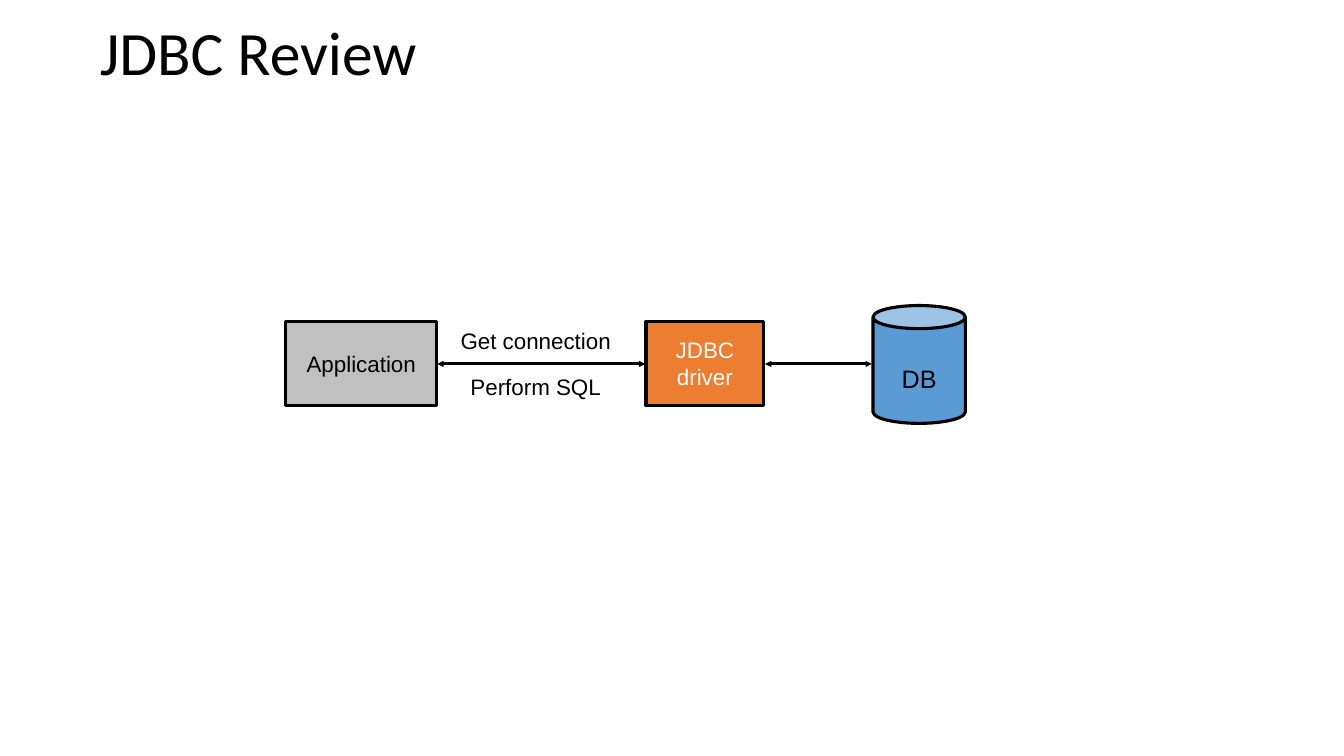
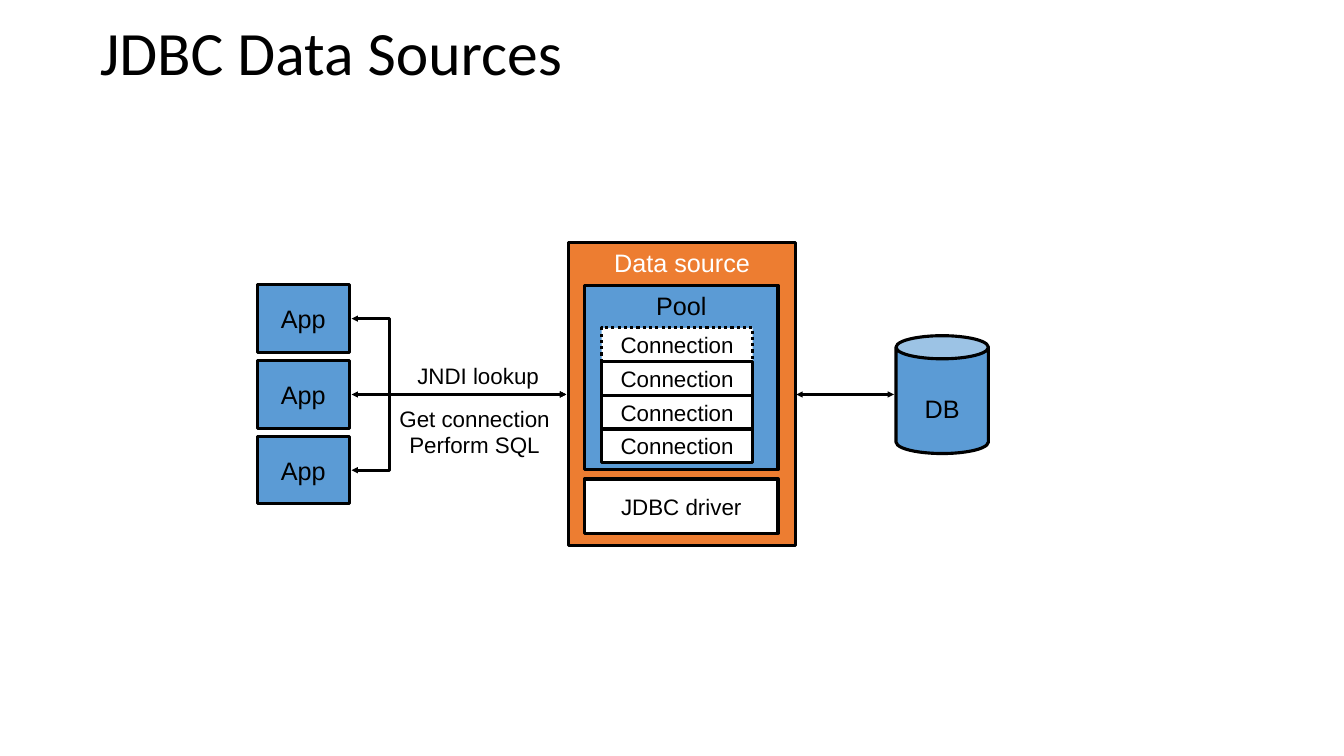
from lxml import etree
from pptx import Presentation
from pptx.dml.color import RGBColor
from pptx.enum import dml, shapes, text
from pptx.oxml import ns
from pptx.util import Cm, Pt

BLACK, WHITE, GREY = "000000", "FFFFFF", "C0C0C0"
BLUE, ORANGE = "5B9BD5", "ED7D31"
RECT, CAN = shapes.MSO_SHAPE.RECTANGLE, shapes.MSO_SHAPE.CAN
TOP, MIDDLE = text.MSO_ANCHOR.TOP, text.MSO_ANCHOR.MIDDLE
color = RGBColor.from_string


def add_box(slide, wording, left, top, width, height, fill=None, size=16,
            ink=BLACK, anchor=MIDDLE, outline=RECT):
    place = Cm(left), Cm(top), Cm(width), Cm(height)
    if fill:
        box = slide.shapes.add_shape(outline, *place)
        box.shadow.inherit = False
        box.fill.solid()
        box.fill.fore_color.rgb = color(fill)
        box.line.color.rgb = color(BLACK)
        box.line.width = Pt(2.25)
    else:
        box = slide.shapes.add_textbox(*place)
    frame = box.text_frame
    frame.word_wrap = True
    frame.vertical_anchor = anchor
    paragraph = frame.paragraphs[0]
    paragraph.alignment = text.PP_ALIGN.CENTER
    for number, line in enumerate(wording.split("\n")):
        if number:
            paragraph.add_line_break()
        run = paragraph.add_run()
        run.text = line
        run.font.name = "Arial"
        run.font.size = Pt(size)
        run.font.color.rgb = color(ink)
    return box


def add_arrow(slide, x1, y1, x2, y2, bend=None):
    kind = shapes.MSO_CONNECTOR.ELBOW if bend else shapes.MSO_CONNECTOR.STRAIGHT
    arrow = slide.shapes.add_connector(kind, Cm(x1), Cm(y1), Cm(x2), Cm(y2))
    arrow.line.color.rgb = color(BLACK)
    arrow.line.width = Pt(2.25)
    for end in ("a:headEnd", "a:tailEnd"):
        etree.SubElement(arrow.line._get_or_add_ln(), ns.qn(end),
                         type="triangle", w="sm", len="sm")
    properties = arrow._element.spPr
    etree.SubElement(properties, ns.qn("a:effectLst"))
    if bend:
        guides = properties.find(ns.qn("a:prstGeom")).get_or_add_avLst()
        etree.SubElement(guides, ns.qn("a:gd"), name="adj1", fmla=f"val {bend}")


deck = Presentation()
deck.slide_width, deck.slide_height = Cm(33.87), Cm(19.05)

for heading in ("JDBC Review", "JDBC Data Sources"):
    slide = deck.slides.add_slide(deck.slide_layouts[5])
    title = slide.shapes.title
    title.left, title.top = Cm(2.26), Cm(0.43)
    title.width, title.height = Cm(29.64), Cm(2.54)
    title.text_frame.vertical_anchor = TOP
    title.text_frame.auto_size = text.MSO_AUTO_SIZE.NONE
    paragraph = title.text_frame.paragraphs[0]
    paragraph.alignment = text.PP_ALIGN.LEFT
    paragraph.line_spacing = 0.9
    run = paragraph.add_run()
    run.text = heading
    run.font.name = "Calibri"
    run.font.size = Pt(44)
    run.font.color.rgb = color(BLACK)

review, sources = deck.slides

for slide, left, top in ((review, 22, 7.7), (sources, 22.58, 8.46)):
    database = add_box(slide, "DB", left, top, 2.33, 2.97, BLUE, 18, outline=CAN)
    database.text_frame.margin_top = Cm(0.53)

review_axis = 9.17
add_box(review, "Application", 7.2, 8.1, 3.81, 2.12, GREY)
add_box(review, "JDBC driver", 16.28, 8.1, 2.97, 2.12, ORANGE, ink=WHITE)
add_arrow(review, 11.02, review_axis, 16.26, review_axis)
add_arrow(review, 19.28, review_axis, 21.97, review_axis)
add_box(review, "Get connection", 11.35, 8.1, 4.3, 0.94)
add_box(review, "Perform SQL", 11.35, 9.28, 4.3, 0.94)

add_box(sources, "Data source", 14.33, 6.12, 5.72, 7.62, ORANGE, 18, WHITE, TOP)
add_box(sources, "Pool", 14.73, 7.19, 4.88, 4.65, BLUE, 18, anchor=TOP)
add_box(sources, "JDBC driver", 14.73, 12.07, 4.88, 1.37, WHITE)

for row in range(4):
    connection = add_box(sources, "Connection", 15.16, 8.26 + 0.85 * row,
                         3.81, 0.85, WHITE)
    if row == 0:
        connection.line.dash_style = dml.MSO_LINE.ROUND_DOT

sources_axis, app_pitch = 9.94, 1.91
for row, bend in enumerate((17600, None, 17600)):
    app_axis = sources_axis + app_pitch * (row - 1)
    add_box(sources, "App", 6.48, app_axis - 0.85, 2.33, 1.7, BLUE, 18)
    add_arrow(sources, 8.86, app_axis, 14.27, sources_axis, bend)
add_arrow(sources, 20.07, sources_axis, 22.53, sources_axis)
add_box(sources, "JNDI lookup", 9.9, 8.99, 4.3, 0.94)
add_box(sources, "Get connection\nPerform SQL", 9.81, 10.06, 4.3, 1.63)

deck.save("out.pptx")
